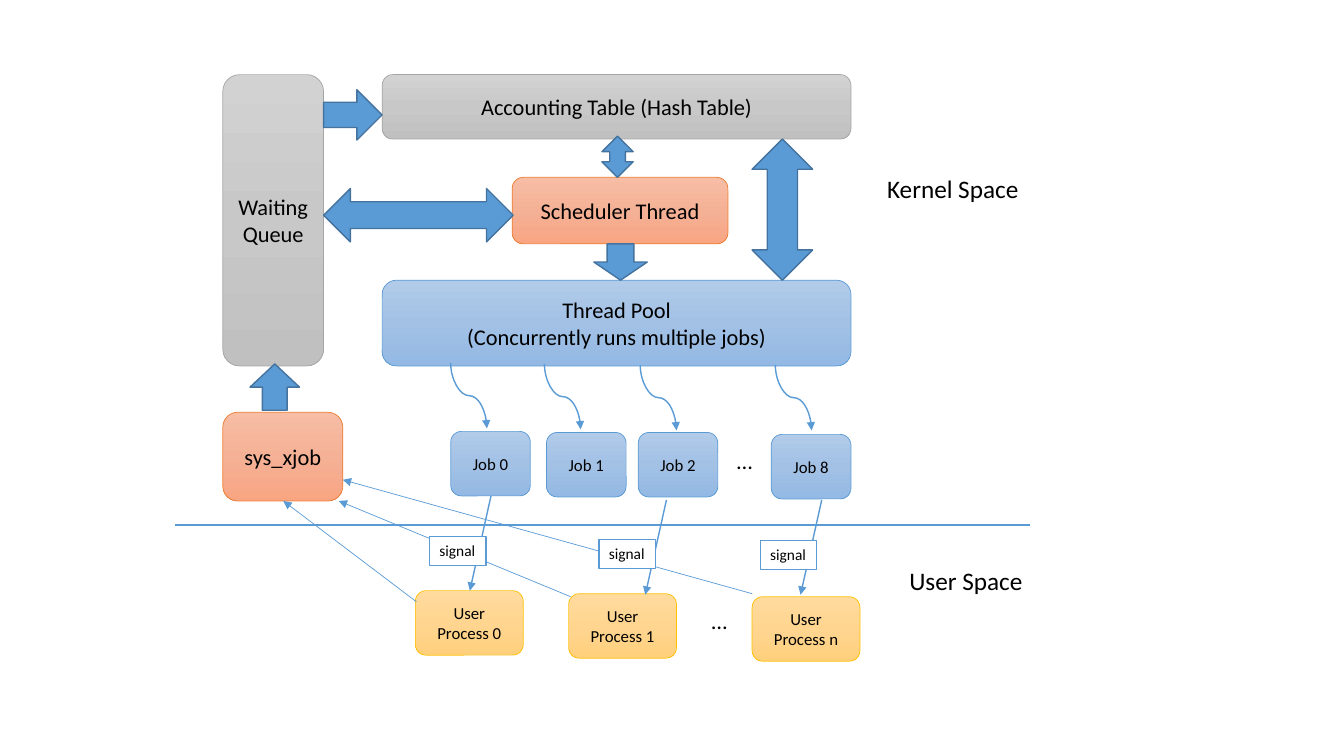
from copy import deepcopy
from dataclasses import dataclass

from lxml import etree
from pptx import Presentation
from pptx.dml.color import RGBColor
from pptx.enum.shapes import MSO_CONNECTOR, MSO_SHAPE
from pptx.enum.text import MSO_ANCHOR, PP_ALIGN
from pptx.oxml.ns import qn
from pptx.util import Inches, Pt

ROUNDED = MSO_SHAPE.ROUNDED_RECTANGLE
LEFT_RIGHT = MSO_SHAPE.LEFT_RIGHT_ARROW
UP_DOWN = MSO_SHAPE.UP_DOWN_ARROW
DOWN = MSO_SHAPE.DOWN_ARROW
RIGHT = MSO_SHAPE.RIGHT_ARROW
STRAIGHT, CURVE = MSO_CONNECTOR.STRAIGHT, MSO_CONNECTOR.CURVE
CENTER, LEFT = PP_ALIGN.CENTER, PP_ALIGN.LEFT
MIDDLE, TOP = MSO_ANCHOR.MIDDLE, MSO_ANCHOR.TOP

COLS, ROWS = 13.33, 7.5
UNIT = Inches(1)


@dataclass(frozen=True)
class Theme:
    font: str = "Calibri"
    text: str = "000000"
    paper: str = "FFFFFF"
    accent: str = "5B9BD5"
    arrow_edge: str = "43739E"
    gray: tuple = ("D2D2D2", "C8C8C8", "C0C0C0", "A5A5A5")
    blue: tuple = ("B1CBE9", "A3C1E5", "93B9E4", "5B9BD5")
    orange: tuple = ("F7BDA5", "F5B196", "F8A582", "ED7D31")
    gold: tuple = ("FFDB9E", "FFD590", "FFD07C", "FFC000")
    space_size: float = 18
    main_size: float = 16
    small_size: float = 12
    signal_size: float = 11
    thin: float = 0.5
    line: float = 1


@dataclass(frozen=True)
class Box:
    x: float
    y: float
    w: float
    h: float

    def inner(self, x, y, w, h):
        return Box(self.x + x, self.y + y, w, h)

    def point(self, x, y):
        return self.x + x, self.y + y

    def emu(self):
        return [round(v * UNIT) for v in (self.x, self.y, self.w, self.h)]


T = Theme()


def rgb(value):
    return RGBColor.from_string(value)


def write(s, text, size, align=CENTER, anchor=MIDDLE, wrap=True):
    tf = s.text_frame
    tf.text = text
    tf.word_wrap = wrap
    tf.vertical_anchor = anchor
    for p in tf.paragraphs:
        p.alignment = align
        for r in p.runs:
            r.font.name = T.font
            r.font.size = Pt(size)
            r.font.color.rgb = rgb(T.text)


def add_node(slide, box, text, palette, size=T.main_size):
    s = slide.shapes.add_shape(ROUNDED, *box.emu())
    s.shadow.inherit = False
    s.fill.gradient()
    s.fill.gradient_angle = 270
    stop_list = s.element.spPr.find(".//" + qn("a:gsLst"))
    stop_list.insert(1, deepcopy(stop_list[0]))
    for stop, color, position in zip(s.fill.gradient_stops, palette, (0, 0.5, 1)):
        stop.color.rgb = rgb(color)
        stop.position = position
    s.line.color.rgb = rgb(palette[-1])
    s.line.width = Pt(T.thin)
    write(s, text, size)


def add_label(slide, box, text, size, framed=False):
    s = slide.shapes.add_textbox(*box.emu())
    s.fill.solid()
    s.fill.fore_color.rgb = rgb(T.paper)
    if framed:
        s.line.color.rgb = rgb(T.accent)
        s.line.width = Pt(T.line)
    write(s, text, size, LEFT, TOP, False)


def add_block_arrow(slide, box, kind, rotation=0):
    s = slide.shapes.add_shape(kind, *box.emu())
    s.shadow.inherit = False
    s.rotation = rotation
    s.fill.solid()
    s.fill.fore_color.rgb = rgb(T.accent)
    s.line.color.rgb = rgb(T.arrow_edge)
    s.line.width = Pt(T.line)


def add_line(slide, start, end, width=T.line, kind=STRAIGHT, arrow=True):
    c = slide.shapes.add_connector(kind, *[round(v * UNIT) for v in start + end])
    c.line.color.rgb = rgb(T.accent)
    c.line.width = Pt(width)
    sp_pr = c.element.spPr
    if arrow:
        etree.SubElement(sp_pr.find(qn("a:ln")), qn("a:tailEnd")).set("type", "triangle")
    etree.SubElement(sp_pr, qn("a:effectLst"))
    return c


def add_drop_curve(slide, box):
    mid_x, mid_y = box.x + box.w / 2, box.y + box.h / 2
    start = (mid_x + box.h / 2, mid_y - box.w / 2)
    end = (mid_x - box.h / 2, mid_y + box.w / 2)
    c = add_line(slide, start, end, kind=CURVE)
    c.element.spPr.find(qn("a:xfrm")).set("rot", str(270 * 60000))


def kernel_space(slide, box):
    add_node(slide, box.inner(0, 0, 1, 2.89), "Waiting Queue", T.gray)
    add_node(slide, box.inner(1.58, 0, 4.65, 0.64), "Accounting Table (Hash Table)", T.gray)
    add_node(slide, box.inner(1.58, 2.04, 4.65, 0.85),
             "Thread Pool\n(Concurrently runs multiple jobs)", T.blue)
    add_node(slide, box.inner(2.87, 1.02, 2.14, 0.66), "Scheduler Thread", T.orange)
    add_node(slide, box.inner(0, 3.35, 1.19, 0.88), "sys_xjob", T.orange)
    add_label(slide, box.inner(6.49, 0.93, 1.52, 0.4), "Kernel Space", T.space_size)
    for kind, place, rotation in (
        (LEFT_RIGHT, (1, 1.13, 1.88, 0.53), 0),
        (UP_DOWN, (3.76, 0.61, 0.31, 0.41), 0),
        (DOWN, (3.68, 1.68, 0.53, 0.36), 0),
        (UP_DOWN, (5.25, 0.64, 0.6, 1.4), 0),
        (DOWN, (0.27, 2.87, 0.49, 0.46), 180),
        (RIGHT, (1, 0.15, 0.58, 0.5), 0),
    ):
        add_block_arrow(slide, box.inner(*place), kind, rotation)


def job_row(slide, box):
    for name, x, y, curve_x, curve_y in (
        ("Job 0", 0, 0, 0, -0.68),
        ("Job 1", 0.95, 0.01, 0.93, -0.67),
        ("Job 2", 1.86, 0.01, 1.88, -0.66),
        ("Job 8", 3.18, 0.03, 3.22, -0.66),
    ):
        add_drop_curve(slide, box.inner(curve_x, curve_y, 0.36, 0.65))
        add_node(slide, box.inner(x, y, 0.79, 0.64), name, T.blue, T.small_size)
    add_label(slide, box.inner(2.74, 0.11, 0.36, 0.37), "…", T.main_size)


def user_space(slide, box):
    add_line(slide, box.point(0, 0), box.point(8.48, 0), arrow=False)
    for name, x, y in (("0", 2.38, 0.65), ("1", 3.9, 0.68), ("n", 5.72, 0.71)):
        add_node(slide, box.inner(x, y, 1.07, 0.64), f"User Process {name}",
                 T.gold, T.small_size)
    add_label(slide, box.inner(5.22, 0.76, 0.36, 0.37), "…", T.main_size)
    add_label(slide, box.inner(7.18, 0.35, 1.34, 0.4), "User Space", T.space_size)


def crossings(slide, box):
    for x, y in ((3.13, -0.29), (4.87, -0.25), (6.41, -0.25)):
        add_line(slide, box.point(x, y), box.point(x - 0.21, y + 0.94))
    for start, end in (
        ((2.39, 0.76), (1.07, -0.24)),
        ((3.92, 0.71), (1.62, -0.24)),
        ((5.72, 0.68), (1.66, -0.45)),
    ):
        add_line(slide, box.point(*start), box.point(*end), T.thin)
    for x, y in ((2.52, 0.11), (4.2, 0.14), (5.8, 0.15)):
        add_label(slide, box.inner(x, y, 0.56, 0.29), "signal", T.signal_size, True)


def main():
    prs = Presentation()
    prs.slide_width = round(COLS * UNIT)
    prs.slide_height = round(ROWS * UNIT)
    slide = prs.slides.add_slide(prs.slide_layouts[6])
    user_box = Box(1.74, 5.21, 8.52, 1.35)
    kernel_space(slide, Box(2.21, 0.74, 8.01, 4.23))
    job_row(slide, Box(4.47, 4.28, 3.97, 0.67))
    user_space(slide, user_box)
    crossings(slide, user_box)
    prs.save("out.pptx")


if __name__ == "__main__":
    main()
